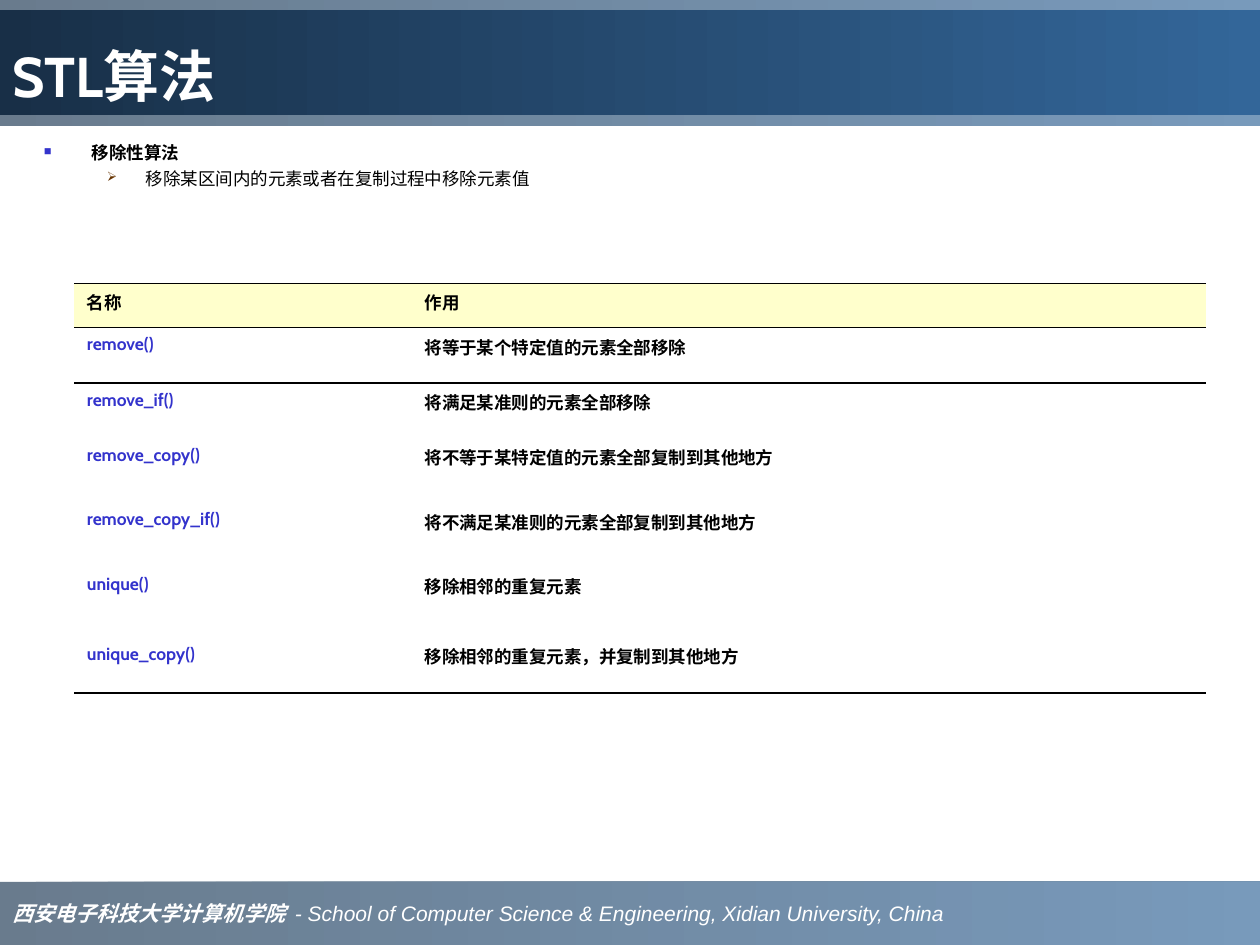
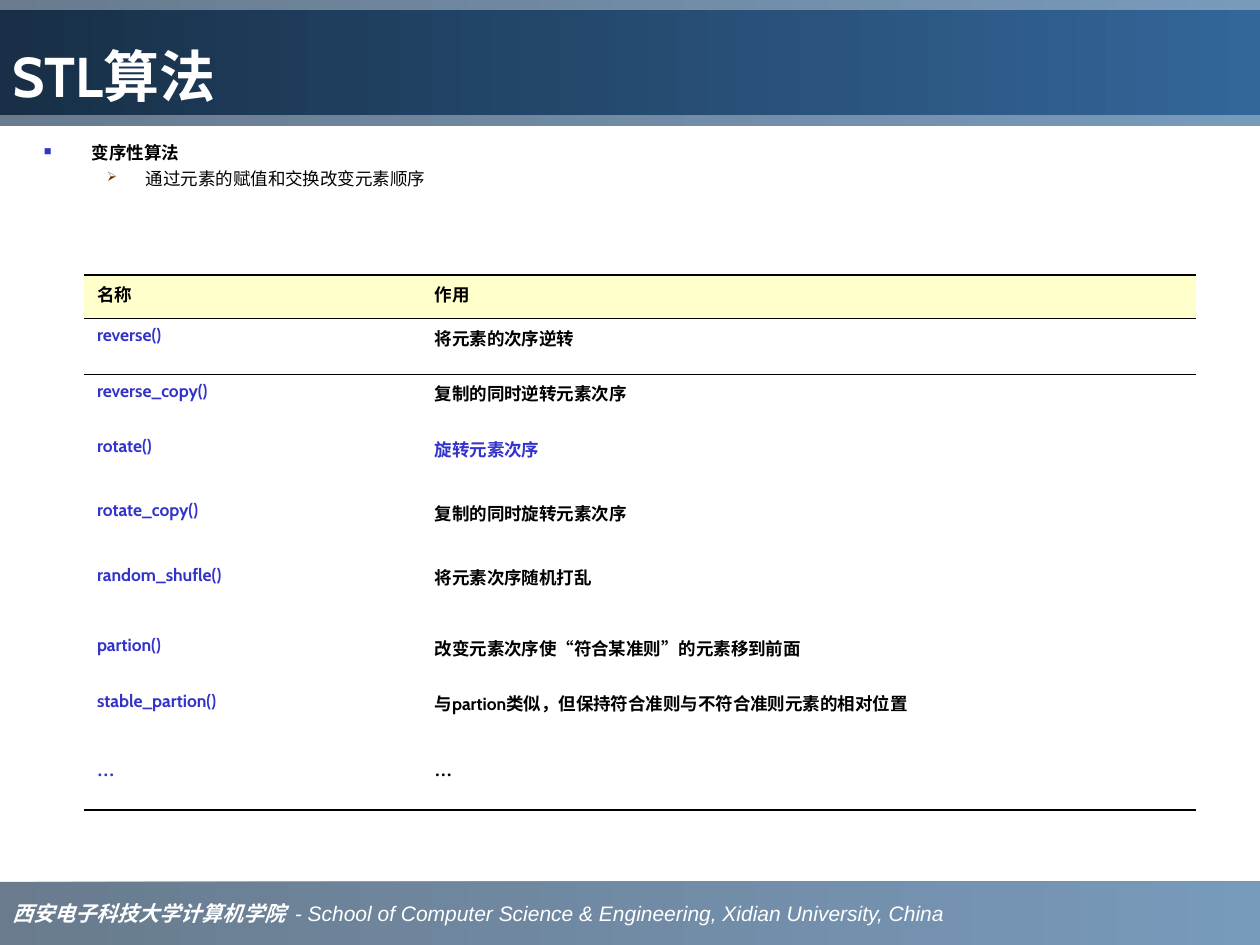
from itertools import groupby

from lxml import etree
from pptx import Presentation
from pptx.dml.color import RGBColor
from pptx.enum.shapes import MSO_SHAPE
from pptx.enum.text import MSO_ANCHOR
from pptx.oxml.ns import qn
from pptx.util import Inches, Pt

RECT = MSO_SHAPE.RECTANGLE
MIDDLE, BOTTOM = MSO_ANCHOR.MIDDLE, MSO_ANCHOR.BOTTOM

COLORS = {
    "band_dark": "1C3853",
    "title_dark": "182F47",
    "blue": "336699",
    "white": "FFFFFF",
    "black": "000000",
    "name": "3333CC",
    "arrow": "663300",
    "header": "FFFFCC",
}
PLAIN_TABLE = "{2D5ABB26-0587-4C30-8999-92F81FD0307C}"
ROW_HEIGHTS = [0.35, 0.44, 0.44, 0.51, 0.51, 0.56, 0.44, 0.56, 0.44]
NAME_WIDTH = 2.68

SLIDES = [
    {
        "topic": "移除性算法",
        "detail": "移除某区间内的元素或者在复制过程中移除元素值",
        "left": 0.59, "top": 2.25, "use_width": 6.3,
        "highlight": None,
        "rows": [
            ("名称", "作用"),
            ("remove()", "将等于某个特定值的元素全部移除"),
            ("remove_if()", "将满足某准则的元素全部移除"),
            ("remove_copy()", "将不等于某特定值的元素全部复制到其他地方"),
            ("remove_copy_if()", "将不满足某准则的元素全部复制到其他地方"),
            ("unique()", "移除相邻的重复元素"),
            ("unique_copy()", "移除相邻的重复元素，并复制到其他地方"),
        ],
    },
    {
        "topic": "变序性算法",
        "detail": "通过元素的赋值和交换改变元素顺序",
        "left": 0.67, "top": 2.18, "use_width": 6.14,
        "highlight": "旋转元素次序",
        "rows": [
            ("名称", "作用"),
            ("reverse()", "将元素的次序逆转"),
            ("reverse_copy()", "复制的同时逆转元素次序"),
            ("rotate()", "旋转元素次序"),
            ("rotate_copy()", "复制的同时旋转元素次序"),
            ("random_shufle()", "将元素次序随机打乱"),
            ("partion()", "改变元素次序使“符合某准则”的元素移到前面"),
            ("stable_partion()", "与partion类似，但保持符合准则与不符合准则元素的相对位置"),
            ("…", "…"),
        ],
    },
]


def add_text(p, text, size=10, font="Cabin", color="black", bold=True, italic=False):
    r = p.add_run()
    r.text = text
    r.font.size = Pt(size)
    r.font.name = font
    r.font.bold = bold
    r.font.italic = italic
    r.font.color.rgb = RGBColor.from_string(COLORS[color])


def add_band(s, top, height, start, alpha=None):
    sp = s.shapes.add_shape(RECT, 0, Inches(top), prs.slide_width, Inches(height))
    sp.shadow.inherit = False
    sp.line.fill.background()
    sp.fill.gradient()
    sp.fill.gradient_angle = 0
    for stop, color in zip(sp.fill.gradient_stops, (start, "blue")):
        stop.color.rgb = RGBColor.from_string(COLORS[color])
    if alpha:
        for clr in sp.fill._xPr.iter(qn("a:srgbClr")):
            etree.SubElement(clr, qn("a:alpha"), val=str(alpha * 1000))
    return sp


prs = Presentation()
prs.slide_width = Inches(10)
prs.slide_height = Inches(7.5)

for data in SLIDES:
    s = prs.slides.add_slide(prs.slide_layouts[6])

    tf = add_band(s, 7, 0.5, "band_dark", alpha=66).text_frame
    tf.word_wrap = False
    tf.vertical_anchor = MIDDLE
    p = tf.paragraphs[0]
    p.alignment = 1
    add_text(p, "西安电子科技大学计算机学院  ", size=12, font="Times New Roman",
             color="white", italic=True)
    add_text(p, "- School of Computer Science & Engineering, Xidian University, China",
             size=12, font="Arial", color="white", bold=False, italic=True)

    add_band(s, 0, 1, "band_dark", alpha=66)
    tf = add_band(s, 0.08, 0.83, "title_dark").text_frame
    tf.word_wrap = True
    tf.vertical_anchor = BOTTOM
    p = tf.paragraphs[0]
    p.alignment = 1
    add_text(p, "STL算法", size=32, color="white")

    tf = s.shapes.add_textbox(Inches(0.25), Inches(1.08), Inches(9.42), Inches(5.83)).text_frame
    tf.word_wrap = True
    bullets = [
        (data["topic"], True, 0.38, -0.38, "■", "name", 60),
        (data["detail"], False, 0.81, -0.31, "➢", "arrow", 75),
    ]
    for level, (text, bold, margin, indent, char, color, percent) in enumerate(bullets):
        p = tf.add_paragraph() if level else tf.paragraphs[0]
        p.level = level
        pPr = p._p.get_or_add_pPr()
        pPr.set("marL", str(Inches(margin)))
        pPr.set("indent", str(Inches(indent)))
        if level:
            p.space_before = Pt(2.5)
        buClr = etree.SubElement(pPr, qn("a:buClr"))
        etree.SubElement(buClr, qn("a:srgbClr"), val=COLORS[color])
        etree.SubElement(pPr, qn("a:buSzPct"), val=str(percent * 1000))
        etree.SubElement(pPr, qn("a:buChar"), char=char)
        add_text(p, text, bold=bold)

    rows = data["rows"]
    heights = ROW_HEIGHTS[:len(rows)]
    widths = [NAME_WIDTH, data["use_width"]]
    frame = s.shapes.add_table(len(rows), 2, Inches(data["left"]), Inches(data["top"]),
                               Inches(sum(widths)), Inches(sum(heights)))
    table = frame.table
    table.first_row = False
    table.horz_banding = False
    table._tbl.tblPr.find(qn("a:tableStyleId")).text = PLAIN_TABLE
    for column, width in zip(table.columns, widths):
        column.width = Inches(width)

    for i, row in enumerate(rows):
        table.rows[i].height = Inches(heights[i])
        edges = {}
        if i == 0:
            edges = {"a:lnT": 1.08, "a:lnB": 0.75}
        elif i == 1:
            edges = {"a:lnT": 0.75}
        elif i == len(rows) - 1:
            edges = {"a:lnB": 1.08}
        for j, text in enumerate(row):
            cell = table.cell(i, j)
            tcPr = cell._tc.get_or_add_tcPr()
            for edge, width in edges.items():
                ln = etree.SubElement(tcPr, qn(edge), w=str(Pt(width)))
                fill = etree.SubElement(ln, qn("a:solidFill"))
                etree.SubElement(fill, qn("a:srgbClr"), val=COLORS["black"])
            if i == 0:
                cell.fill.solid()
                cell.fill.fore_color.rgb = RGBColor.from_string(COLORS["header"])
            else:
                cell.fill.background()
            blue = i > 0 and (j == 0 or text == data["highlight"])
            for is_mark, chars in groupby(text, key=lambda c: c in "“”…"):
                add_text(cell.text_frame.paragraphs[0], "".join(chars),
                         font="Times New Roman" if is_mark else "Cabin",
                         color="name" if blue else "black")

prs.save("out.pptx")
